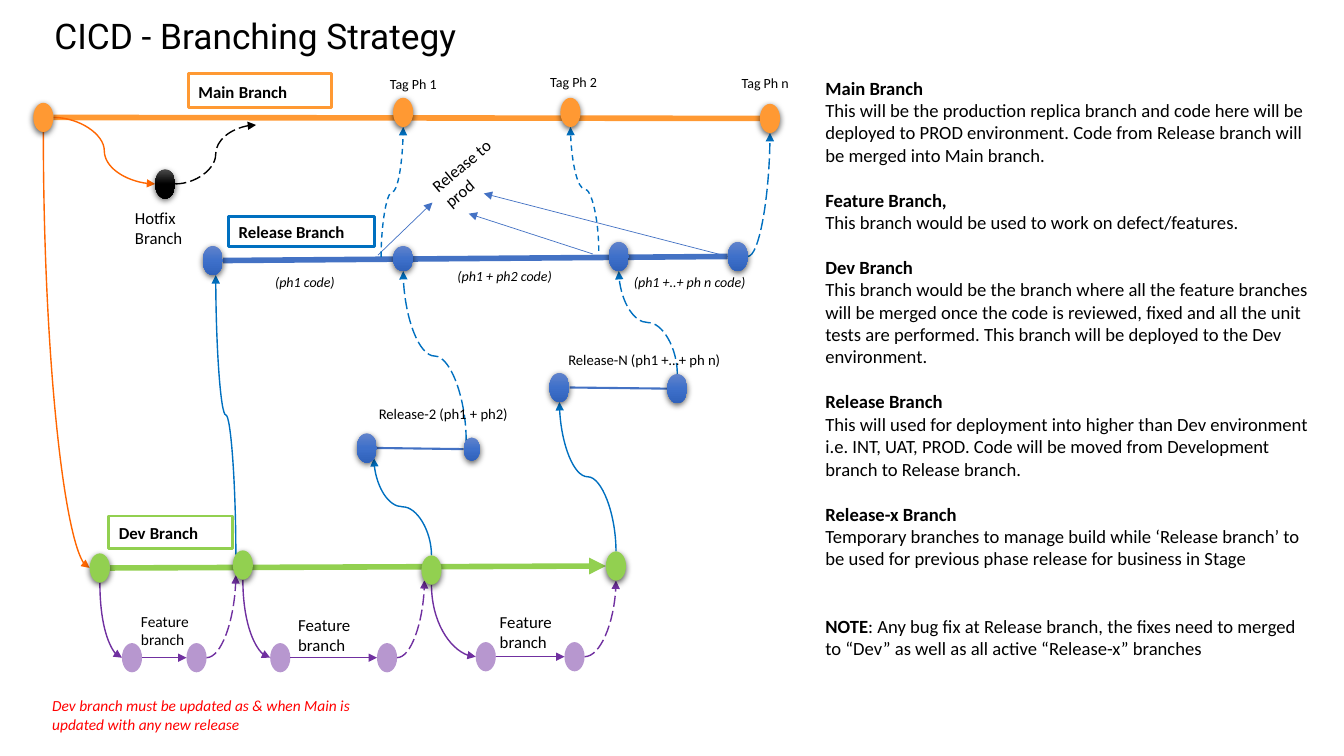
import copy

import pptx
import pptx.dml.color
import pptx.enum.dml
import pptx.enum.shapes
import pptx.enum.text
import pptx.oxml
import pptx.oxml.ns
import pptx.oxml.xmlchemy
import pptx.util

Pt = pptx.util.Pt
RGBColor = pptx.dml.color.RGBColor
MSO_SHAPE = pptx.enum.shapes.MSO_SHAPE
MSO_CONNECTOR = pptx.enum.shapes.MSO_CONNECTOR
DASH = pptx.enum.dml.MSO_LINE.DASH
LONG_DASH = pptx.enum.dml.MSO_LINE.LONG_DASH
qn = pptx.oxml.ns.qn
OxmlElement = pptx.oxml.xmlchemy.OxmlElement

BLACK = RGBColor(0x00, 0x00, 0x00)
GREY = RGBColor(0x4B, 0x4B, 0x4B)
WHITE = RGBColor(0xFF, 0xFF, 0xFF)
RED = RGBColor(0xFF, 0x00, 0x00)
ORANGE = RGBColor(0xFF, 0x99, 0x33)
DEEP_ORANGE = RGBColor(0xFF, 0x66, 0x00)
GREEN = RGBColor(0x92, 0xD0, 0x50)
PURPLE = RGBColor(0x70, 0x30, 0xA0)
BLUE = RGBColor(0x00, 0x70, 0xC0)
STEEL = RGBColor(0x44, 0x72, 0xC4)
BLUE_STOPS = (RGBColor(0x61, 0x83, 0xCB), RGBColor(0x3E, 0x70, 0xCA), RGBColor(0x30, 0x62, 0xBB))
BLACK_STOPS = (GREY, BLACK, BLACK)

TITLE = "CICD - Branching Strategy"
NOTES = [
    (0, [("Main Branch", True)]),
    (0, [("This will be the production replica branch and code here will be deployed to PROD environment. Code from Release branch will be merged into Main branch.", False)]),
    (1, [("Feature Branch,", True)]),
    (0, [("This branch would be used to work on defect/features.", False)]),
    (1, [("Dev Branch", True)]),
    (0, [("This branch would be the branch where all the feature branches will be merged once the code is reviewed, fixed and all the unit tests are performed. This branch will be deployed to the Dev environment.", False)]),
    (1, [("Release Branch", True)]),
    (0, [("This will used for deployment into higher than Dev environment i.e. INT, UAT, PROD. Code will be moved from Development branch to Release branch.", False)]),
    (1, [("Release-x Branch", True)]),
    (0, [("Temporary branches to manage build while ‘Release branch’ to be used for previous phase release for business in Stage", False)]),
    (2, [("NOTE", True), (": Any bug fix at Release branch, the fixes need to merged to “Dev” as well as all active “Release-x” branches", False)]),
]
NOTE_SIZE, NOTE_LINE = 13.3, 16.2

NODE_SIZE = (14.4, 20.9)
SPECIAL_SIZES = {"release 2": (14.4, 18), "phase 2 end": (11.5, 16.6)}
NODES = {
    "main": (31, 83.9, ORANGE), "tag 1": (288, 80.3, ORANGE),
    "tag 2": (407.5, 80.3, ORANGE), "tag n": (550, 84.6, ORANGE),
    "hotfix": (118, 131.4, BLACK_STOPS),
    "release 1": (152, 186.1, BLUE_STOPS), "release 2": (288, 184.7, BLUE_STOPS),
    "release 3": (442, 183.2, BLUE_STOPS), "release 4": (527, 183.2, BLUE_STOPS),
    "phase 2": (262, 320, BLUE_STOPS), "phase 2 end": (337, 320.8, BLUE_STOPS),
    "phase n": (399.6, 276.8, BLUE_STOPS), "phase n end": (483.8, 277.6, BLUE_STOPS),
    "dev 1": (71.3, 405.7, GREEN), "dev 2": (173.5, 403.6, GREEN),
    "dev 3": (308.2, 407.2, GREEN), "dev 4": (440, 404.3, GREEN),
    "feature 1": (94.3, 469.8, PURPLE), "feature 1 end": (140.4, 469.8, PURPLE),
    "feature 2": (200.2, 469.8, PURPLE), "feature 2 end": (276.5, 469.8, PURPLE),
    "feature 3": (347, 469.1, PURPLE), "feature 3 end": (410.4, 469.1, PURPLE),
}
SIDES = {"N": (0, -0.5), "S": (0, 0.5), "E": (0.5, 0), "W": (-0.5, 0),
         "NW": (-0.35, -0.35), "SW": (-0.35, 0.35), "SE": (0.35, 0.35)}

STRAIGHT_LINES = [
    (("main", "E"), ("tag n", "W"), ORANGE, 4, False),
    (("release 1", "E"), ("release 4", "W"), STEEL, 4, False),
    (("dev 1", "E"), ("dev 4", "W"), GREEN, 4, True),
    (("phase 2", "E"), ("phase 2 end", "W"), STEEL, 1.5, False),
    (("phase n", "E"), ("phase n end", "W"), STEEL, 1.5, False),
    ((270, 182.2), (308.9, 144.7), STEEL, 0.5, True),
    ((423.4, 181.4), (334.8, 152.6), STEEL, 0.5, True),
    (("release 4", "W"), (345.6, 138.2), STEEL, 0.5, True),
]
QUARTER, WAVE = "curvedConnector2", "curvedConnector3"
CURVES = [
    (("main", "S"), ("dev 1", "W"), DEEP_ORANGE, None, QUARTER, True),
    (("main", "E"), ("hotfix", "W"), DEEP_ORANGE, None, WAVE, False),
    (("hotfix", "E"), (182.9, 89.3), BLACK, LONG_DASH, WAVE, False),
    (("release 4", "E"), ("tag n", "S"), BLUE, LONG_DASH, QUARTER, False),
    (("dev 2", "NW"), (154.1, 196.6), BLUE, None, WAVE, True),
    (("dev 3", "N"), ("phase 2", "SE"), BLUE, None, WAVE, True),
    (("dev 4", "N"), ("phase n", "S"), BLUE, None, WAVE, True),
    (("phase 2 end", "NW"), ("release 2", "S"), BLUE, LONG_DASH, WAVE, True),
    (("phase n end", "N"), ("release 3", "S"), BLUE, LONG_DASH, WAVE, True),
    ((272.2, 183.6), ("tag 1", "S"), BLUE, DASH, WAVE, True),
    ((427.7, 179.3), ("tag 2", "S"), BLUE, DASH, WAVE, True),
]
for number, merge_side in ((1, "SW"), (2, "SW"), (3, "S")):
    feature = f"feature {number}"
    STRAIGHT_LINES.append(((feature, "E"), (f"{feature} end", "W"), PURPLE, 1, True))
    CURVES.append(((f"dev {number}", "S"), (feature, "W"), PURPLE, None, QUARTER, True))
    CURVES.append(((f"{feature} end", "E"), (f"dev {number + 1}", merge_side), PURPLE, LONG_DASH, QUARTER, False))

BRANCH_BOXES = [
    ((134.6, 52.6, 102.2, 24.5), ORANGE, None, [("Main", 12, True), (" ", 14, True), ("Branch", 12, True)]),
    ((77.8, 368.6, 88.6, 23), GREEN, None, [("Dev", 12, True), (" ", 13, False), ("Branch", 12, True)]),
    ((163.4, 154.8, 104.4, 21.6), BLUE, WHITE, [("Release Branch", 12, True)]),
]
LABELS = [
    ("Tag Ph 1", (271.4, 50.4, 61.2, 19.4), 10, False, BLACK, 0),
    ("Tag Ph 2", (385.9, 49, 61.2, 19.4), 10, False, BLACK, 0),
    ("Tag Ph n", (522.7, 49.7, 57.6, 20.2), 10, False, BLACK, 0),
    ("(ph1 code)", (189.4, 192.2, 61.9, 19.4), 10, True, BLACK, 0),
    ("(ph1 + ph2 code)", (319.7, 187.2, 97.9, 19.4), 10, True, BLACK, 0),
    ("(ph1 +..+ ph n code)", (445.7, 192.2, 107.3, 19.4), 10, True, BLACK, 0),
    ("Release-2 (ph1 + ph2)", (263.5, 285.8, 123.1, 20.2), 10.5, False, BLACK, 0),
    ("Release-N (ph1 +…+ ph n)", (398.9, 247, 141.1, 20.2), 10.5, False, BLACK, 0),
    ("Hotfix Branch", (89.3, 144.7, 64.8, 36), 12, False, BLACK, 0),
    ("Feature branch", (93.6, 433.4, 74.9, 33.8), 11, False, BLACK, 0),
    ("Feature branch", (205.9, 435.6, 74.9, 36), 12, False, BLACK, 0),
    ("Feature branch", (349.9, 433.4, 74.9, 36), 12, False, BLACK, 0),
    ("Release to prod", (301.7, 105.8, 64.8, 36), 12, False, BLACK, 320.2),
    ("Dev branch must be updated as & when Main is updated with any new release", (30.2, 493.9, 236.9, 33.8), 11, True, RED, 0),
]


def points(values):
    return [Pt(value) for value in values]


def add_run(paragraph, text, size, color=BLACK, bold=False, italic=False, font="Calibri"):
    run = paragraph.add_run()
    run.text = text
    run.font.name, run.font.size = font, Pt(size)
    run.font.bold, run.font.italic = bold, italic
    run.font.color.rgb = color


def add_text_box(box):
    shape = slide.shapes.add_textbox(*points(box))
    shape.text_frame.word_wrap = True
    return shape


def anchor(end):
    if end[0] not in NODES:
        return end
    x, y, _ = NODES[end[0]]
    width, height = SPECIAL_SIZES.get(end[0], NODE_SIZE)
    across, down = SIDES[end[1]]
    return x + across * width, y + down * height


def add_line(kind, start, end, color, width, arrow, dash=None):
    connector = slide.shapes.add_connector(kind, *points(start + end))
    connector.line.color.rgb, connector.line.width = color, Pt(width)
    if dash is not None:
        connector.line.dash_style = dash
    properties = connector._element.spPr
    if arrow:
        tail = OxmlElement("a:tailEnd")
        tail.set("type", "triangle")
        properties.find(qn("a:ln")).append(tail)
    properties.append(OxmlElement("a:effectLst"))
    return properties


def add_curve(start, end, color, dash, preset, vertical):
    (x1, y1), (x2, y2) = anchor(start), anchor(end)
    if vertical:
        x, y, dx, dy = (x1 + x2) / 2, (y1 + y2) / 2, x2 - x1, y2 - y1
        x1, y1, x2, y2 = x + dy / 2, y - dx / 2, x - dy / 2, y + dx / 2
    properties = add_line(MSO_CONNECTOR.CURVE, (x1, y1), (x2, y2), color, 1, True, dash)
    properties.find(qn("a:prstGeom")).set("prst", preset)
    if vertical:
        properties.find(qn("a:xfrm")).set("rot", "16200000")


def add_shadow(shape):
    shadow = pptx.oxml.parse_xml(
        '<a:outerShdw xmlns:a="http://schemas.openxmlformats.org/drawingml/2006/main" blurRad="57150" '
        'dist="19050" dir="5400000" algn="ctr" rotWithShape="0">'
        '<a:srgbClr val="000000"><a:alpha val="63000"/></a:srgbClr></a:outerShdw>')
    shape._element.spPr.find(qn("a:effectLst")).append(shadow)


def add_node(name, x, y, paint):
    width, height = SPECIAL_SIZES.get(name, NODE_SIZE)
    shape = slide.shapes.add_shape(MSO_SHAPE.OVAL, *points((x - width / 2, y - height / 2, width, height)))
    shape.shadow.inherit = False
    shape.line.fill.background()
    properties = shape._element.spPr
    if paint in (BLUE_STOPS, BLACK_STOPS):
        shape.fill.gradient()
        shape.fill.gradient_angle = 270
        stops = properties.find(".//" + qn("a:gsLst"))
        stops.insert(1, copy.deepcopy(stops[0]))
        for stop, color, position in zip(shape.fill.gradient_stops, paint, (0, 0.5, 1)):
            stop.color.rgb, stop.position = color, position
    else:
        shape.fill.solid()
        shape.fill.fore_color.rgb = paint
    if paint == PURPLE:
        alpha = OxmlElement("a:alpha")
        alpha.set("val", "50000")
        properties.find(qn("a:solidFill"))[0].append(alpha)
    else:
        add_shadow(shape)


presentation = pptx.Presentation()
presentation.slide_width, presentation.slide_height = Pt(960), Pt(540)
slide = presentation.slides.add_slide(presentation.slide_layouts[5])

title = slide.shapes.title
title.left, title.top, title.width, title.height = points((31.7, 6, 861.8, 38.2))
title.text_frame.vertical_anchor = pptx.enum.text.MSO_ANCHOR.MIDDLE
title.text_frame.paragraphs[0].alignment = pptx.enum.text.PP_ALIGN.LEFT
add_run(title.text_frame.paragraphs[0], TITLE, 25.2, font="Roboto")

frame = add_text_box((582.5, 51.1, 360, 459.4)).text_frame
for index, (gap_lines, runs) in enumerate(NOTES):
    paragraph = frame.add_paragraph() if index else frame.paragraphs[0]
    if gap_lines:
        paragraph.space_before = Pt(gap_lines * NOTE_LINE)
    for text, bold in runs:
        add_run(paragraph, text, NOTE_SIZE, bold=bold)

for start, end, color, width, arrow in STRAIGHT_LINES:
    add_line(MSO_CONNECTOR.STRAIGHT, anchor(start), anchor(end), color, width, arrow)
for curve in CURVES:
    add_curve(*curve)
for name, node in NODES.items():
    add_node(name, *node)

for box, color, fill, runs in BRANCH_BOXES:
    shape = slide.shapes.add_shape(MSO_SHAPE.RECTANGLE, *points(box))
    shape.shadow.inherit = False
    shape.line.color.rgb, shape.line.width = color, Pt(2)
    if fill is None:
        shape.fill.background()
    else:
        shape.fill.solid()
        shape.fill.fore_color.rgb = fill
    shape.text_frame.vertical_anchor = pptx.enum.text.MSO_ANCHOR.TOP
    paragraph = shape.text_frame.paragraphs[0]
    paragraph.alignment = pptx.enum.text.PP_ALIGN.LEFT
    for text, size, bold in runs:
        add_run(paragraph, text, size, bold=bold)

for text, box, size, italic, color, rotation in LABELS:
    shape = add_text_box(box)
    shape.rotation = rotation
    add_run(shape.text_frame.paragraphs[0], text, size, color, italic=italic)

presentation.save("out.pptx")
